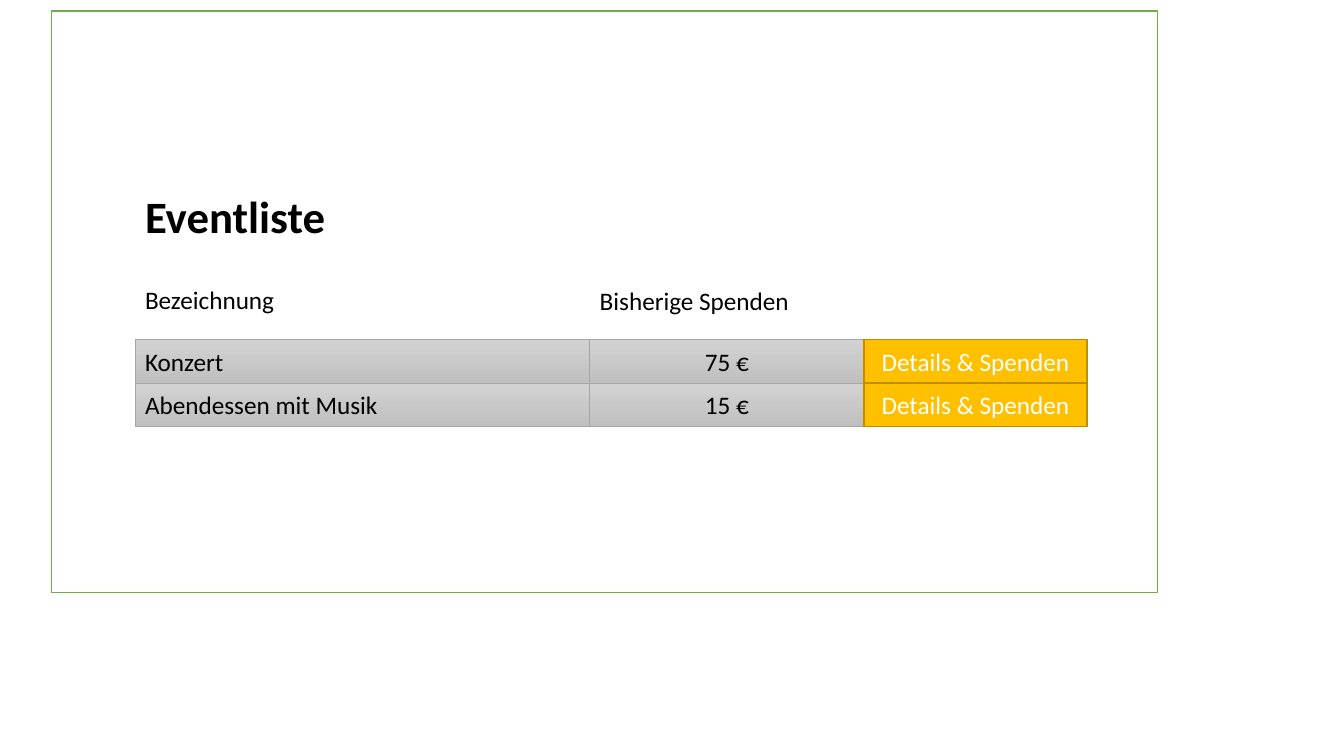
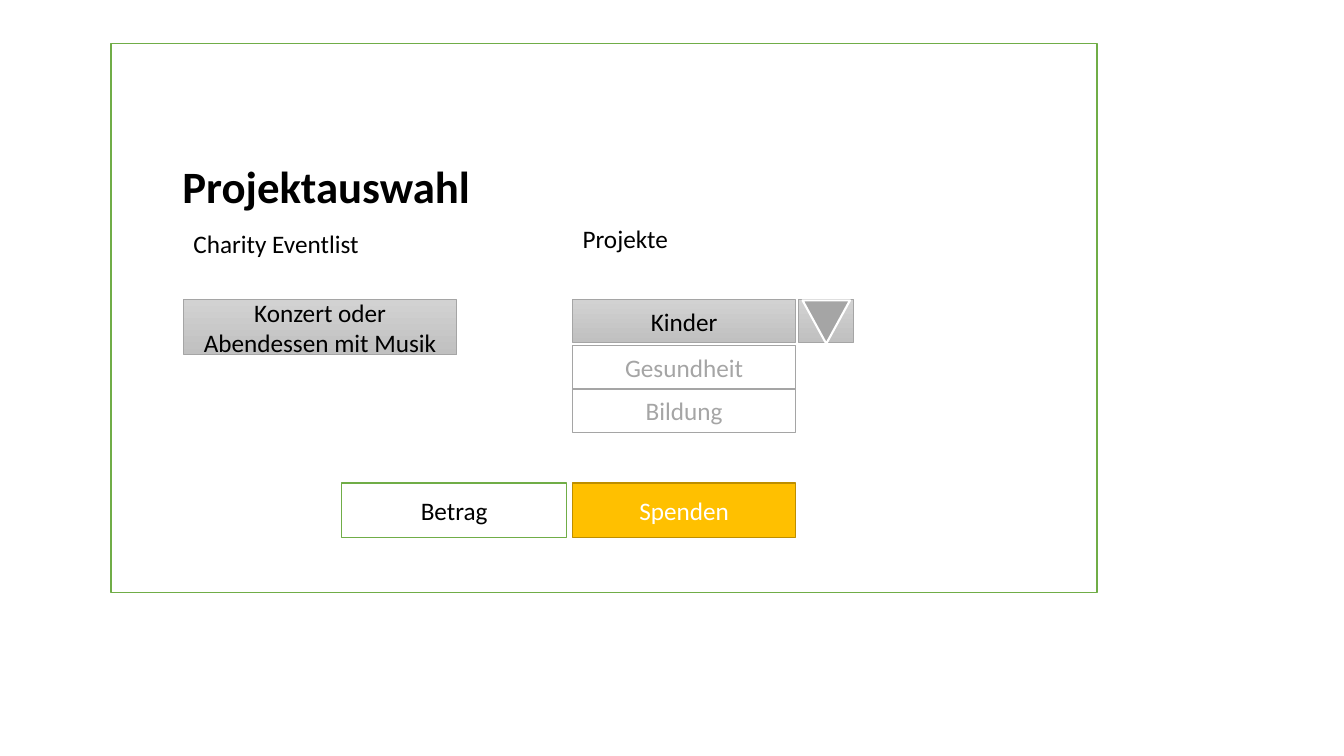
from pptx import Presentation
from pptx.dml.color import RGBColor
from pptx.enum.shapes import MSO_SHAPE
from pptx.enum.text import MSO_ANCHOR, PP_ALIGN
from pptx.util import Inches, Pt

FONT = "Calibri"
BLACK = "000000"
WHITE = "FFFFFF"
GREEN = "70AD47"
GRAY = "A5A5A5"
GOLD = "FFC000"
DARK_GOLD = "BD8E00"
GRAY_GRADIENT = ("D2D2D2", "C0C0C0")
ROW_HEIGHT = 0.43
BUTTON_WIDTH = 2.21


def color(value):
    return RGBColor.from_string(value)


def write_text(shape, text, size=18, text_color=BLACK, bold=False, align=PP_ALIGN.LEFT):
    frame = shape.text_frame
    frame.word_wrap = True
    frame.text = text
    para = frame.paragraphs[0]
    para.alignment = align
    for span in para.runs:
        span.font.name = FONT
        span.font.size = Pt(size)
        span.font.bold = bold
        span.font.color.rgb = color(text_color)


def add_label(page, text, left, top, width, height=0.4, size=18, bold=False):
    box = page.shapes.add_textbox(Inches(left), Inches(top), Inches(width), Inches(height))
    write_text(box, text, size, bold=bold)


def add_title(page, text, left, top):
    add_label(page, text, left, top, 5, 0.64, size=32, bold=True)


def add_outlined(page, place, line_color, line_width, kind=MSO_SHAPE.RECTANGLE):
    shape = page.shapes.add_shape(kind, *(Inches(length) for length in place))
    shape.shadow.inherit = False
    shape.fill.background()
    shape.line.color.rgb = color(line_color)
    shape.line.width = Pt(line_width)
    return shape


def add_box(page, place, text, line_color, line_width, fill=None,
            text_color=BLACK, align=PP_ALIGN.CENTER):
    box = add_outlined(page, place, line_color, line_width)
    if fill:
        box.fill.solid()
        box.fill.fore_color.rgb = color(fill)
    box.text_frame.vertical_anchor = MSO_ANCHOR.MIDDLE
    write_text(box, text, text_color=text_color, align=align)
    return box


def add_gray_box(page, place, text="", align=PP_ALIGN.CENTER):
    box = add_box(page, place, text, GRAY, 0.5, align=align)
    box.fill.gradient()
    box.fill.gradient_angle = 270
    for stop, shade in zip(box.fill.gradient_stops, GRAY_GRADIENT):
        stop.color.rgb = color(shade)


def add_button(page, place, text):
    add_box(page, place, text, DARK_GOLD, 1, GOLD, WHITE)


def add_page(deck, frame_place):
    page = deck.slides.add_slide(deck.slide_layouts[6])
    add_outlined(page, frame_place, GREEN, 1)
    return page


def build_event_list(deck):
    page = add_page(deck, (0.51, 0.11, 10.97, 5.77))
    name_left, name_width = 1.34, 4.51
    amount_left, amount_width = name_left + name_width, 2.72
    button_left = amount_left + amount_width
    add_title(page, "Eventliste", name_left, 1.82)
    add_label(page, "Bezeichnung", name_left, 2.77, 4.5)
    add_label(page, "Bisherige Spenden", amount_left, 2.78, 4.5)
    events = [("Konzert", "75 €"), ("Abendessen mit Musik", "15 €")]
    for row, (name, amount) in enumerate(events):
        top = 3.37 + row * ROW_HEIGHT
        add_gray_box(page, (name_left, top, name_width, ROW_HEIGHT), name, PP_ALIGN.LEFT)
        add_gray_box(page, (amount_left, top, amount_width, ROW_HEIGHT), amount)
        add_button(page, (button_left, top, BUTTON_WIDTH, ROW_HEIGHT), "Details & Spenden")


def build_project_choice(deck):
    page = add_page(deck, (1.1, 0.43, 9.78, 5.45))
    event_left, project_left = 1.82, 5.68
    field_top, form_top, form_height = 2.97, 4.79, 0.54
    add_title(page, "Projektauswahl", 1.71, 1.53)
    add_label(page, "Charity Eventlist", event_left, 2.22, BUTTON_WIDTH)
    add_label(page, "Projekte", project_left, 2.17, 1.05)
    add_gray_box(page, (event_left, field_top, 2.71, 0.55),
                 "Konzert oder Abendessen mit Musik")

    add_gray_box(page, (project_left, field_top, BUTTON_WIDTH, ROW_HEIGHT), "Kinder")
    for row, project in enumerate(["Gesundheit", "Bildung"]):
        place = (project_left, 3.43 + row * ROW_HEIGHT, BUTTON_WIDTH, ROW_HEIGHT)
        add_box(page, place, project, GRAY, 0.75, text_color=GRAY)

    add_gray_box(page, (7.92, field_top, 0.54, ROW_HEIGHT))
    arrow = add_outlined(page, (7.96, 2.98, 0.47, ROW_HEIGHT), WHITE, 1.5,
                         MSO_SHAPE.ISOSCELES_TRIANGLE)
    arrow.rotation = 180
    arrow.fill.solid()
    arrow.fill.fore_color.rgb = color(GRAY)

    add_box(page, (3.39, form_top, 2.23, form_height), "Betrag", GREEN, 1, WHITE)
    add_button(page, (project_left, form_top, BUTTON_WIDTH, form_height), "Spenden")


def main():
    deck = Presentation()
    deck.slide_width = Inches(13.33)
    deck.slide_height = Inches(7.5)
    build_event_list(deck)
    build_project_choice(deck)
    deck.save("out.pptx")


if __name__ == "__main__":
    main()
